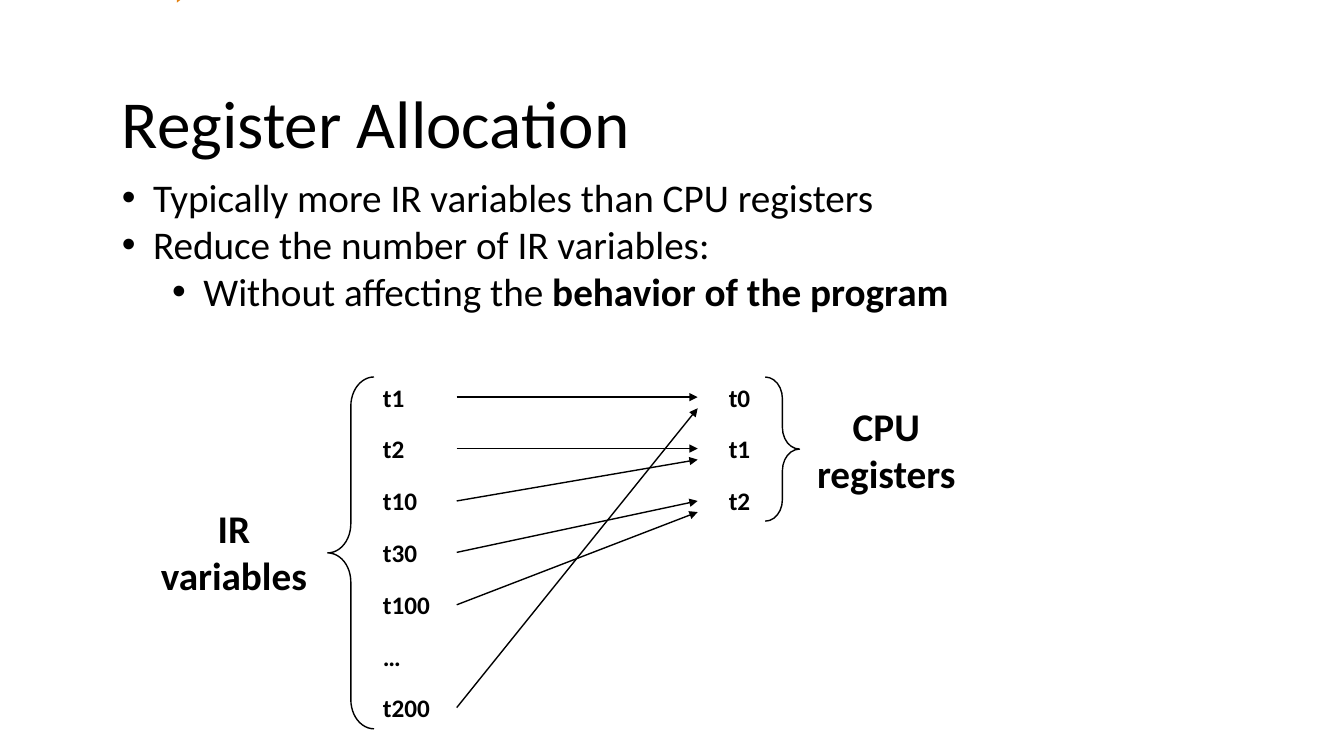
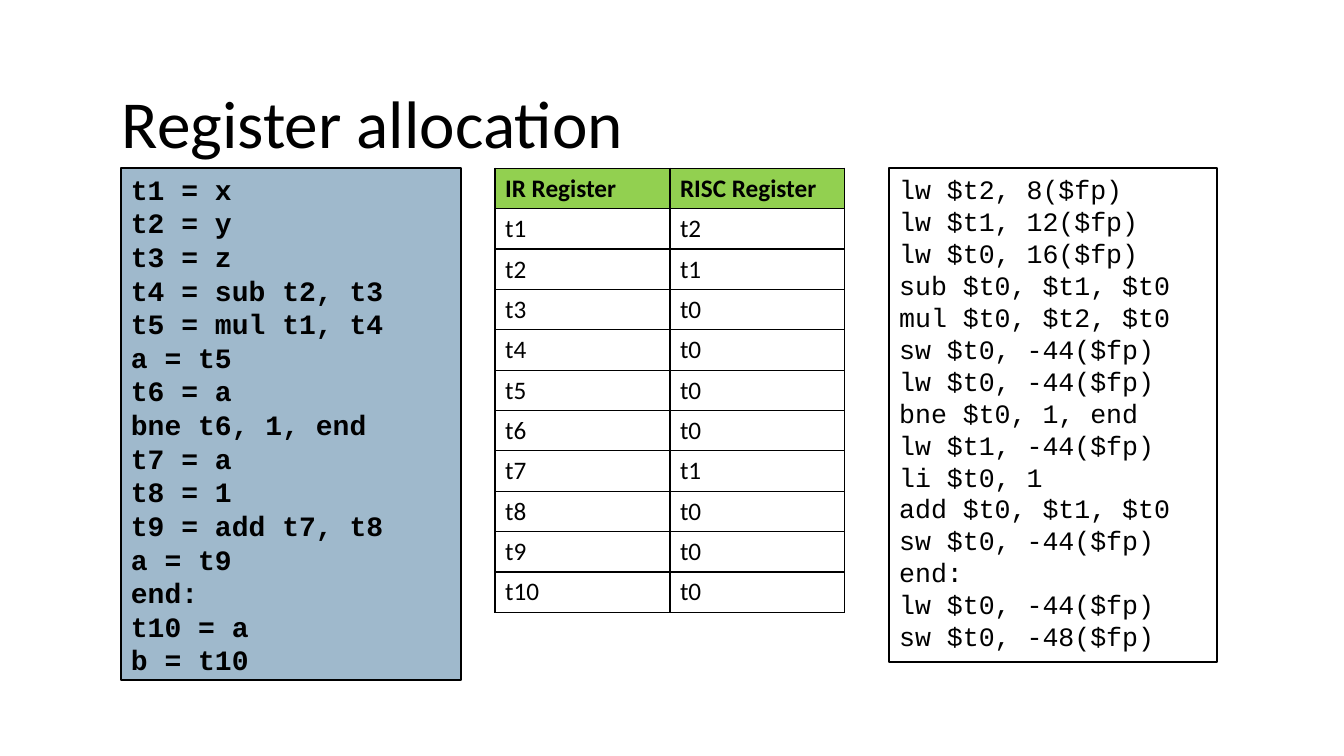
"""Build two slides on register allocation."""
from lxml.etree import SubElement
from pptx import Presentation
from pptx.dml.color import RGBColor
from pptx.enum.shapes import MSO_CONNECTOR, MSO_SHAPE
from pptx.enum.text import MSO_ANCHOR, MSO_AUTO_SIZE, PP_ALIGN
from pptx.oxml.ns import qn
from pptx.util import Pt

PX = 9144
BLACK = RGBColor(0x00, 0x00, 0x00)
WHITE = RGBColor(0xFF, 0xFF, 0xFF)
ORANGE = RGBColor(0xE4, 0x83, 0x12)
STEEL = RGBColor(0x40, 0x74, 0x9B)
GREEN = RGBColor(0x92, 0xD0, 0x50)
BODY_FONT = "Calibri"
CODE_FONT = "Courier New"

IR_NAMES = ["t1", "t2", "t10", "t30", "t100", "…", "t200"]
CPU_NAMES = ["t0", "t1", "t2"]
DIRECT_ARROWS = [(0, 0), (1, 1), (3, 2)]
SHARED_ARROWS = [(2, 1), (6, 0), (4, 2)]
IR_CODE = [
    "t1 = x", "t2 = y", "t3 = z", "t4 = sub t2, t3", "t5 = mul t1, t4",
    "a = t5", "t6 = a", "bne t6, 1, end", "t7 = a", "t8 = 1",
    "t9 = add t7, t8", "a = t9", "end:", "t10 = a", "b = t10",
]
RISC_CODE = [
    "lw $t2, 8($fp)", "lw $t1, 12($fp)", "lw $t0, 16($fp)",
    "sub $t0, $t1, $t0", "mul $t0, $t2, $t0", "sw $t0, -44($fp)",
    "lw $t0, -44($fp)", "bne $t0, 1, end", "lw $t1, -44($fp)",
    "li $t0, 1", "add $t0, $t1, $t0", "sw $t0, -44($fp)", "end:",
    "lw $t0, -44($fp)", "sw $t0, -48($fp)",
]
ALLOCATION = ["t2", "t1", "t0", "t0", "t0", "t0", "t1", "t0", "t0", "t0"]


class SlideBuilder:
    def __init__(self, deck):
        self.deck = deck
        self.page = None

    def new_page(self, title):
        self.page = self.deck.slides.add_slide(self.deck.slide_layouts[6])
        self.text((111, 76, 1109, 91), [title], 48)

    def emu(self, lengths):
        return [length * PX for length in lengths]

    def span(self, para, words, size, bold=False, font=BODY_FONT):
        span = para.add_run()
        span.text = words
        span.font.name = font
        span.font.size = Pt(size)
        span.font.bold = bold
        span.font.color.rgb = BLACK

    def lines(self, frame, lines, size, bold=False, font=BODY_FONT, align=PP_ALIGN.LEFT):
        for index, words in enumerate(lines):
            para = frame.paragraphs[0] if index == 0 else frame.add_paragraph()
            para.alignment = align
            self.span(para, words, size, bold, font)

    def text_box(self, place):
        box = self.page.shapes.add_textbox(*self.emu(place))
        box.text_frame.word_wrap = True
        box.text_frame.auto_size = MSO_AUTO_SIZE.SHAPE_TO_FIT_TEXT
        return box

    def text(self, place, lines, size, bold=False, align=PP_ALIGN.LEFT):
        box = self.text_box(place)
        self.lines(box.text_frame, lines, size, bold, align=align)
        return box

    def bullets(self, place, items, size):
        frame = self.text_box(place).text_frame
        for index, (level, spans) in enumerate(items):
            para = frame.paragraphs[0] if index == 0 else frame.add_paragraph()
            para.level = level
            properties = para._p.get_or_add_pPr()
            properties.set("marL", str((31 + 50 * level) * PX))
            properties.set("indent", str(-31 * PX))
            SubElement(properties, qn("a:buFont"), typeface="Arial")
            SubElement(properties, qn("a:buChar"), char="•")
            for words, bold in spans:
                self.span(para, words, size, bold)

    def outline(self, kind, place, weight):
        shape = self.page.shapes.add_shape(kind, *self.emu(place))
        shape.shadow.inherit = False
        shape.fill.background()
        shape.line.color.rgb = BLACK
        shape.line.width = Pt(weight)
        return shape

    def brace(self, place, rotation=0):
        brace = self.outline(MSO_SHAPE.LEFT_BRACE, place, 1)
        brace.adjustments[0] = 0.63
        brace.rotation = rotation

    def tint(self, fill, color, percent):
        fill.solid()
        fill.fore_color.rgb = color
        SubElement(fill._xPr.find(".//" + qn("a:srgbClr")), qn("a:alpha"), val=str(percent * 1000))

    def code(self, place, lines, size, bold=False, anchor=MSO_ANCHOR.TOP):
        box = self.outline(MSO_SHAPE.RECTANGLE, place, 1.25)
        box.text_frame.word_wrap = True
        box.text_frame.vertical_anchor = anchor
        self.lines(box.text_frame, lines, size, bold, CODE_FONT)
        return box

    def arrow(self, begin, end, color=BLACK, kind=MSO_CONNECTOR.STRAIGHT):
        arrow = self.page.shapes.add_connector(kind, *self.emu(begin + end))
        arrow.line.color.rgb = color
        arrow.line.width = Pt(1)
        SubElement(arrow.line._get_or_add_ln(), qn("a:tailEnd"), type="triangle")
        SubElement(arrow._element.spPr, qn("a:effectLst"))
        return arrow

    def borders(self, cell):
        properties = cell._tc.get_or_add_tcPr()
        for side in ("lnL", "lnR", "lnT", "lnB"):
            line = SubElement(properties, qn("a:" + side), w=str(Pt(1)))
            fill = SubElement(line, qn("a:solidFill"))
            SubElement(fill, qn("a:srgbClr"), val=str(BLACK))

    def table(self, place, rows, size):
        frame = self.page.shapes.add_table(len(rows), len(rows[0]), *self.emu(place))
        for row_index, row in enumerate(rows):
            header = row_index == 0
            for column_index, words in enumerate(row):
                cell = frame.table.cell(row_index, column_index)
                self.lines(cell.text_frame, [words], size, header)
                self.borders(cell)
                if header:
                    self.tint(cell.fill, GREEN, 53)
                else:
                    cell.fill.solid()
                    cell.fill.fore_color.rgb = WHITE


def register_column(builder, left, names, align):
    return [
        builder.text((left, round(374 + 51.4 * row), 83, 40), [name], 18, True, align)
        for row, name in enumerate(names)
    ]


def mapping_page(builder):
    builder.new_page("Register Allocation")
    builder.bullets((111, 167, 1127, 151), [
        (0, [("Typically more IR variables than CPU registers", False)]),
        (0, [("Reduce the number of IR variables:", False)]),
        (1, [("Without affecting the ", False), ("behavior of the program", True)]),
    ], 28)
    variables = register_column(builder, 370, IR_NAMES, PP_ALIGN.LEFT)
    registers = register_column(builder, 692, CPU_NAMES, PP_ALIGN.CENTER)
    mark = builder.arrow((175, 1), (177, 2), ORANGE, MSO_CONNECTOR.ELBOW)
    mark._element.spPr.find(qn("a:xfrm")).set("rot", "5400000")
    for source, target in DIRECT_ARROWS + SHARED_ARROWS:
        end_y = round(405 + 51.4 * target)
        arrow = builder.arrow((453, 394), (692, end_y))
        arrow.begin_connect(variables[source], 3)
        if (source, target) in DIRECT_ARROWS:
            arrow.end_connect(registers[target], 1)
    builder.brace((325, 374, 46, 349))
    builder.brace((759, 374, 34, 143), 180)
    builder.text((793, 394, 172, 104), ["CPU registers"], 28, True, PP_ALIGN.CENTER)
    builder.text((146, 495, 172, 104), ["IR variables"], 28, True, PP_ALIGN.CENTER)


def code_page(builder):
    builder.new_page("Register allocation")
    ir_box = builder.code((120, 167, 337, 508), IR_CODE, 20, True, MSO_ANCHOR.MIDDLE)
    builder.tint(ir_box.fill, STEEL, 50)
    risc_box = builder.code((882, 167, 325, 490), RISC_CODE, 19)
    risc_box.text_frame.auto_size = MSO_AUTO_SIZE.SHAPE_TO_FIT_TEXT
    rows = [("IR Register", "RISC Register")]
    rows += [(f"t{number}", register) for number, register in enumerate(ALLOCATION, 1)]
    builder.table((491, 167, 347, 440), rows, 18)


def main():
    deck = Presentation()
    deck.slide_width = 1333 * PX
    deck.slide_height = 750 * PX
    builder = SlideBuilder(deck)
    mapping_page(builder)
    code_page(builder)
    deck.save("out.pptx")


if __name__ == "__main__":
    main()
